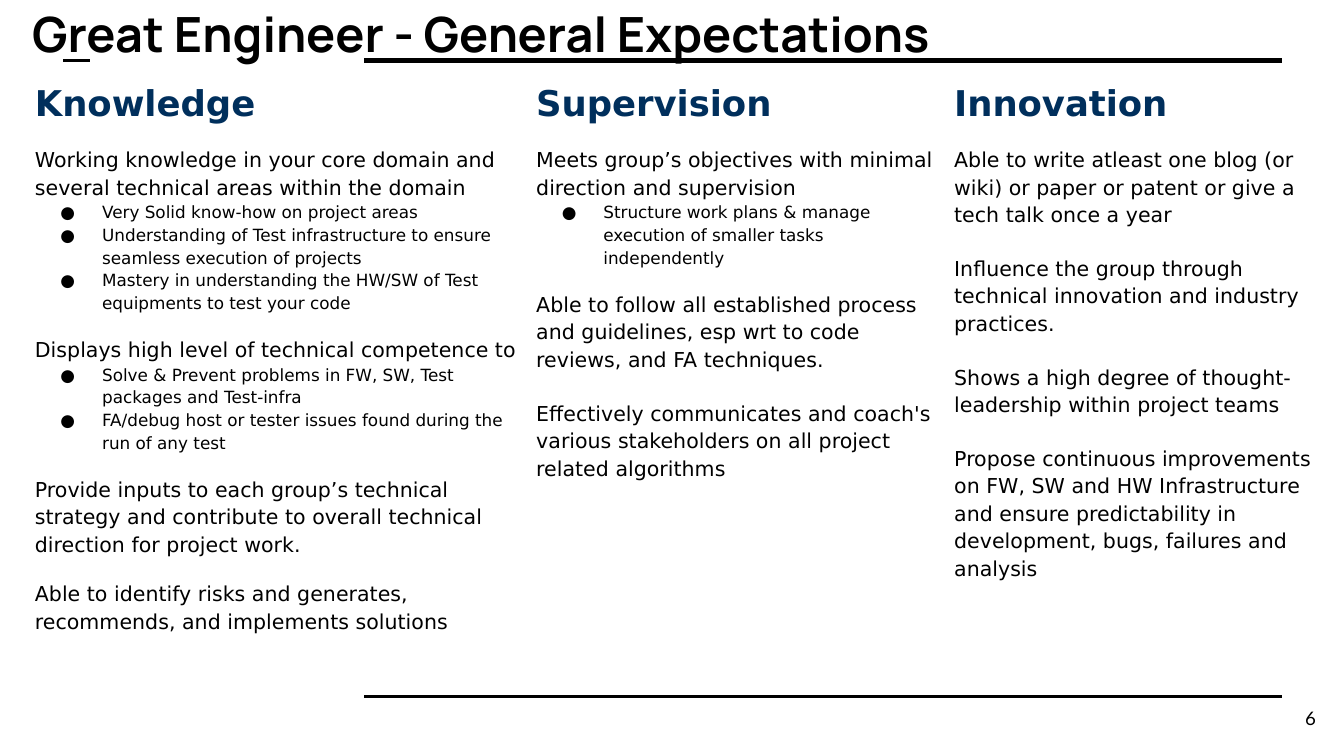
"""Build the slide of general expectations for a great engineer."""
from lxml import etree
from pptx import Presentation
from pptx.dml.color import RGBColor
from pptx.enum.shapes import MSO_CONNECTOR as Connector
from pptx.enum.text import MSO_ANCHOR as Anchor, PP_ALIGN as Align
from pptx.oxml.ns import qn
from pptx.util import Inches, Pt

BLACK, NAVY = "000000", "002F5C"
SANS = "DejaVu Sans"
BODY, BULLET = 11, 9
SMALL_GAP, LARGE_GAP = 11.6, 14


def color(code):
    return RGBColor.from_string(code)


def add_span(para, text, size, font=SANS, code=BLACK, bold=False):
    span = para.add_run()
    span.text = text
    span.font.size = Pt(size)
    span.font.name = font
    span.font.bold = bold
    span.font.color.rgb = color(code)


deck = Presentation()
deck.slide_width = Inches(10)
deck.slide_height = Inches(10 * 9 / 16)
page = deck.slides.add_slide(deck.slide_layouts[6])

rules = [(2.71, 9.54, 0.45, 3), (2.71, 9.54, 5.18, 1.5), (0.47, 0.67, 0.45, 1.5)]
for start, end, y, weight in rules:
    rule = page.shapes.add_connector(
        Connector.STRAIGHT, Inches(start), Inches(y), Inches(end), Inches(y))
    rule.line.color.rgb = color(BLACK)
    rule.line.width = Pt(weight)
    etree.SubElement(rule._element.spPr, qn("a:effectLst"))

labels = [
    ("Great Engineer - General Expectations", (0.14, -0.07, 6.91, 0.53),
     26, "Manrope", True, Anchor.TOP, Align.LEFT),
    ("6", (9.29, 5.13, 0.6, 0.43), 10, "Lato", False, Anchor.MIDDLE, Align.RIGHT),
]
for text, place, size, font, bold, anchor, align in labels:
    box = page.shapes.add_textbox(*[Inches(value) for value in place])
    frame = box.text_frame
    frame.word_wrap = True
    frame.vertical_anchor = anchor
    frame.margin_left = frame.margin_right = Inches(0.1)
    frame.margin_top = frame.margin_bottom = Inches(0.1)
    para = frame.paragraphs[0]
    para.alignment = align
    add_span(para, text, size, font, bold=bold)

columns = [
    ("Knowledge", 3.73, [
        (BODY, 0, "Working knowledge in your core domain and several technical areas within the domain"),
        (BULLET, 0, "Very Solid know-how on project areas"),
        (BULLET, 0, "Understanding of Test infrastructure to ensure seamless execution of projects"),
        (BULLET, 0, "Mastery in understanding the HW/SW of Test equipments to test your code"),
        (BODY, SMALL_GAP, "Displays high level of technical competence to"),
        (BULLET, 0, "Solve & Prevent problems in FW, SW, Test packages and Test-infra"),
        (BULLET, 0, "FA/debug host or tester issues found during the run of any test"),
        (BODY, SMALL_GAP, "Provide inputs to each group’s technical strategy and contribute to "
                          "overall technical direction for project work."),
        (BODY, SMALL_GAP, "Able to identify risks and generates, recommends, and implements solutions"),
    ]),
    ("Supervision", 3.11, [
        (BODY, 0, "Meets group’s objectives with minimal direction and supervision"),
        (BULLET, 0, "Structure work plans & manage execution of smaller tasks independently"),
        (BODY, SMALL_GAP, "Able to follow all established process and guidelines, esp wrt to "
                          "code reviews, and FA techniques."),
        (BODY, LARGE_GAP, "Effectively communicates and coach's various stakeholders on all "
                          "project related algorithms"),
    ]),
    ("Innovation", 2.95, [
        (BODY, 0, "Able to write atleast one blog (or wiki) or paper or patent or give a "
                  "tech talk once a year"),
        (BODY, LARGE_GAP, "Influence the group through technical innovation and industry practices."),
        (BODY, LARGE_GAP, "Shows a high degree of thought-leadership within project teams"),
        (BODY, LARGE_GAP, "Propose continuous improvements on FW, SW and HW Infrastructure and "
                          "ensure predictability in development, bugs, failures and analysis"),
    ]),
]

width = sum(column[1] for column in columns)
table = page.shapes.add_table(
    2, len(columns), Inches(0.21), Inches(0.53), Inches(width), Inches(4.5)).table
table.first_row = table.horz_banding = False
table.rows[0].height, table.rows[1].height = Inches(0.5), Inches(4)

for index, (heading, column_width, points) in enumerate(columns):
    table.columns[index].width = Inches(column_width)
    for row in range(2):
        cell = table.cell(row, index)
        cell.fill.background()
        cell.margin_left = cell.margin_right = Inches(0.05)
        cell.margin_top = cell.margin_bottom = Inches(0.05)

    para = table.cell(0, index).text_frame.paragraphs[0]
    para.line_spacing = 1.15
    para.space_before = Pt(2)
    add_span(para, heading, 19, code=NAVY, bold=True)

    frame = table.cell(1, index).text_frame
    for number, (size, gap, text) in enumerate(points):
        para = frame.add_paragraph() if number else frame.paragraphs[0]
        para.line_spacing = 1.15
        para.space_before = Pt(gap)
        add_span(para, text, size)
        if size == BULLET:
            props = para._p.get_or_add_pPr()
            props.set("marL", str(Inches(0.5)))
            props.set("indent", str(Inches(-0.31)))
            tint = etree.SubElement(props, qn("a:buClr"))
            etree.SubElement(tint, qn("a:srgbClr"), val=BLACK)
            etree.SubElement(props, qn("a:buFont"), typeface=SANS)
            etree.SubElement(props, qn("a:buChar"), char="●")

deck.save("out.pptx")
